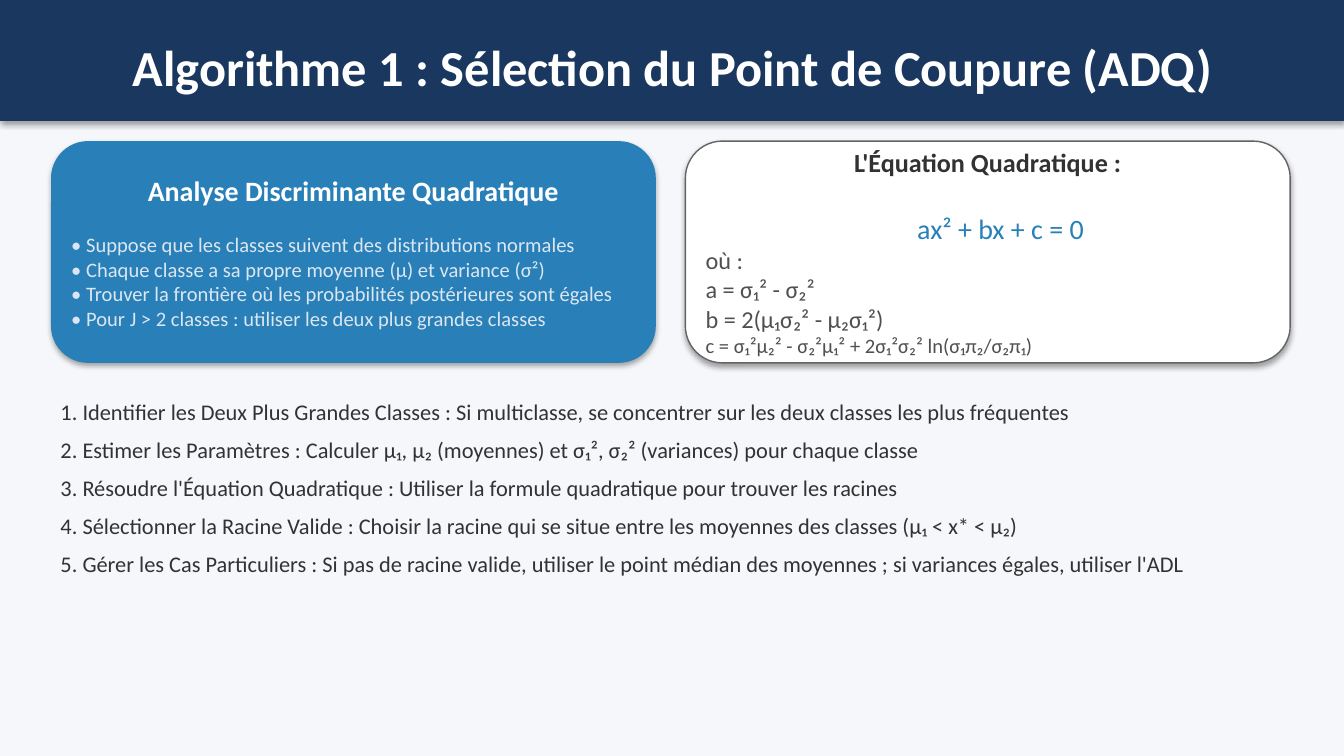
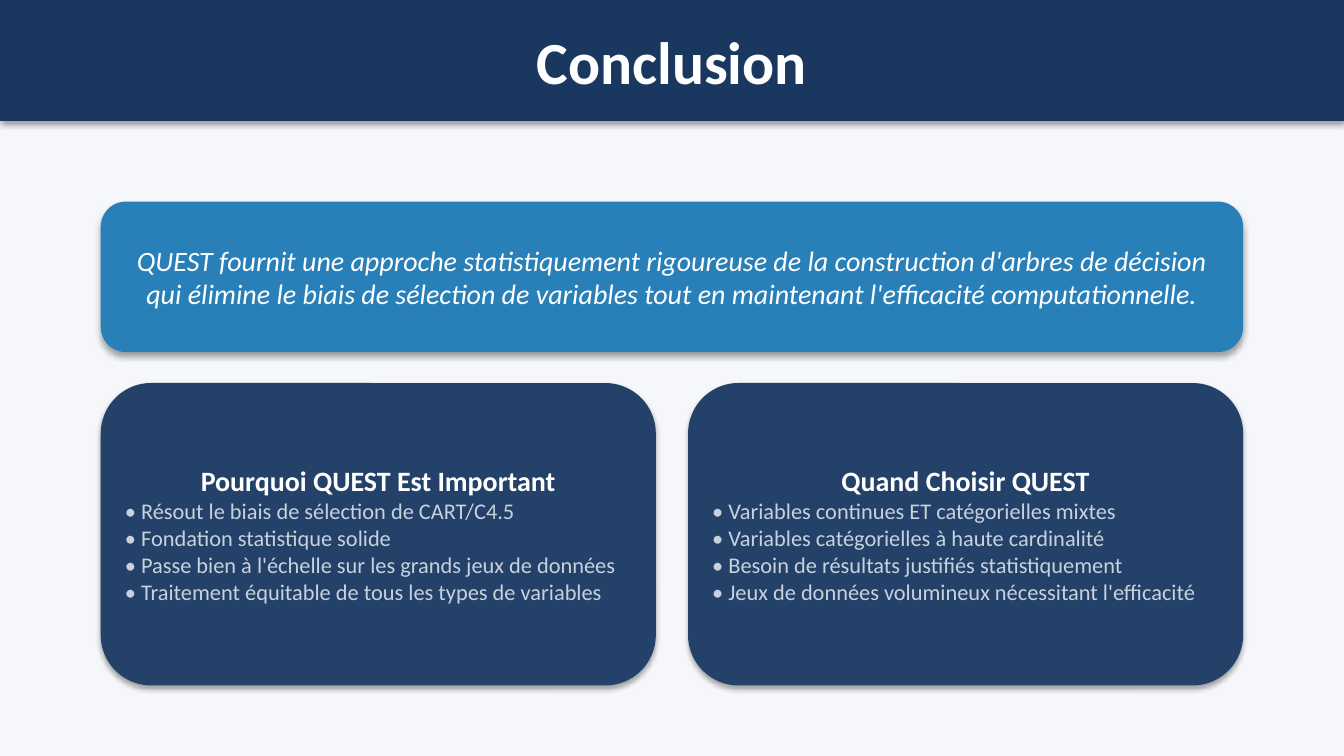
from lxml import etree
from pptx import Presentation
from pptx.dml.color import RGBColor
from pptx.enum.shapes import MSO_SHAPE
from pptx.enum.text import MSO_ANCHOR, PP_ALIGN
from pptx.oxml.ns import qn
from pptx.util import Inches, Pt

RECT, ROUNDED = MSO_SHAPE.RECTANGLE, MSO_SHAPE.ROUNDED_RECTANGLE
MIDDLE = MSO_ANCHOR.MIDDLE
LEFT, CENTER = PP_ALIGN.LEFT, PP_ALIGN.CENTER
FONT = "Calibri"
COLORS = {
    "background": "F5F7FA",
    "navy": "19375F",
    "card": "234169",
    "blue": "2980B9",
    "white": "FFFFFF",
    "border": "646464",
    "ink": "323232",
    "formula": "505050",
    "pale_blue": "DCE6F0",
    "pale_gray": "C8D2DC",
}


def rgb(name):
    return RGBColor.from_string(COLORS[name])


def add_shadow(sp):
    effects = etree.SubElement(sp._element.spPr, qn("a:effectLst"))
    shadow = etree.SubElement(
        effects, qn("a:outerShdw"), blurRad=str(Pt(3.1)), dist=str(Pt(1.8)),
        dir="5400000", algn="ctr", rotWithShape="0")
    color = etree.SubElement(shadow, qn("a:srgbClr"), val="000000")
    etree.SubElement(color, qn("a:alpha"), val="35000")


def set_frame(tf):
    tf.word_wrap = True
    tf.margin_left = tf.margin_right = Inches(0.07)
    tf.margin_top = tf.margin_bottom = Inches(0.04)
    return tf


def add_panel(s, box, fill, kind=ROUNDED, line=None):
    sp = s.shapes.add_shape(kind, *map(Inches, box))
    sp.fill.solid()
    sp.fill.fore_color.rgb = rgb(fill)
    if line:
        sp.line.color.rgb = rgb(line)
        sp.line.width = Pt(0.75)
    else:
        sp.line.fill.background()
    add_shadow(sp)
    tf = set_frame(sp.text_frame)
    tf.vertical_anchor = MIDDLE
    return tf


def add_text_box(s, box):
    return set_frame(s.shapes.add_textbox(*map(Inches, box)).text_frame)


def write(tf, text, size=12, color="ink", bold=False, italic=False,
          align=LEFT, before=0, indent=0):
    p = tf.paragraphs[0]
    if p.runs:
        p = tf.add_paragraph()
    p.alignment = align
    if before:
        p.space_before = Pt(before)
    if indent:
        p._p.get_or_add_pPr().set("marL", str(Inches(indent)))
    r = p.add_run()
    r.text = text
    r.font.name = FONT
    r.font.size = Pt(size)
    r.font.bold = bold
    r.font.italic = italic
    r.font.color.rgb = rgb(color)


def new_slide(prs):
    s = prs.slides.add_slide(prs.slide_layouts[6])
    s.background.fill.solid()
    s.background.fill.fore_color.rgb = rgb("background")
    return s


def add_header(s, title, size, title_box=None):
    tf = add_panel(s, (0, 0, 10, 0.9), "navy", RECT)
    if title_box:
        tf = add_text_box(s, title_box)
    write(tf, title, size=size, color="white", bold=True, align=CENTER)


def add_bullet_card(s, box, fill, title, items, size, color, gap=0):
    tf = add_panel(s, box, fill)
    write(tf, title, size=15, color="white", bold=True, align=CENTER)
    for i, item in enumerate(items):
        write(tf, f"• {item}", size=size, color=color, before=0 if i else gap)


def add_equation_card(s, box):
    tf = add_panel(s, box, "white", line="border")
    write(tf, "L'Équation Quadratique :", size=14, bold=True, align=CENTER)
    write(tf, "ax² + bx + c = 0", size=15, color="blue", align=CENTER,
          before=18.3, indent=0.19)
    for text in ("où :", "a = σ₁² - σ₂²", "b = 2(μ₁σ₂² - μ₂σ₁²)"):
        write(tf, text, size=13, color="formula")
    write(tf, "c = σ₁²μ₂² - σ₂²μ₁² + 2σ₁²σ₂² ln(σ₁π₂/σ₂π₁)",
          size=11, color="formula")


def add_steps(s, box, steps):
    tf = add_text_box(s, box)
    for number, step in enumerate(steps, 1):
        write(tf, f"{number}. {step}", before=6 if number > 1 else 0)


def build_algorithm(prs):
    s = new_slide(prs)
    add_header(s, "Algorithme 1 : Sélection du Point de Coupure (ADQ)", 27,
               (0.38, 0.23, 9.25, 0.6))
    left, top, width, height, gap = 0.38, 1.05, 4.5, 1.65, 0.22
    add_bullet_card(
        s, (left, top, width, height), "blue",
        "Analyse Discriminante Quadratique",
        ["Suppose que les classes suivent des distributions normales",
         "Chaque classe a sa propre moyenne (μ) et variance (σ²)",
         "Trouver la frontière où les probabilités postérieures sont égales",
         "Pour J > 2 classes : utiliser les deux plus grandes classes"],
        11, "pale_blue", gap=13.4)
    add_equation_card(s, (left + width + gap, top, width, height))
    add_steps(s, (left, 2.92, 2 * width + gap, 2.25), [
        "Identifier les Deux Plus Grandes Classes : Si multiclasse, "
        "se concentrer sur les deux classes les plus fréquentes",
        "Estimer les Paramètres : Calculer μ₁, μ₂ (moyennes) et "
        "σ₁², σ₂² (variances) pour chaque classe",
        "Résoudre l'Équation Quadratique : Utiliser la formule "
        "quadratique pour trouver les racines",
        "Sélectionner la Racine Valide : Choisir la racine qui se situe "
        "entre les moyennes des classes (μ₁ < x* < μ₂)",
        "Gérer les Cas Particuliers : Si pas de racine valide, utiliser le "
        "point médian des moyennes ; si variances égales, utiliser l'ADL",
    ])


def build_conclusion(prs):
    s = new_slide(prs)
    left, width, card_width = 0.75, 8.5, 4.13
    summary = add_panel(s, (left, 1.5, width, 1.12), "blue")
    write(summary,
          "QUEST fournit une approche statistiquement rigoureuse de la "
          "construction d'arbres de décision qui élimine le biais de "
          "sélection de variables tout en maintenant l'efficacité "
          "computationnelle.",
          size=15, color="white", italic=True, align=CENTER)
    cards = [
        ("Pourquoi QUEST Est Important",
         ["Résout le biais de sélection de CART/C4.5",
          "Fondation statistique solide",
          "Passe bien à l'échelle sur les grands jeux de données",
          "Traitement équitable de tous les types de variables"]),
        ("Quand Choisir QUEST",
         ["Variables continues ET catégorielles mixtes",
          "Variables catégorielles à haute cardinalité",
          "Besoin de résultats justifiés statistiquement",
          "Jeux de données volumineux nécessitant l'efficacité"]),
    ]
    for i, (title, items) in enumerate(cards):
        x = left + i * (width - card_width)
        add_bullet_card(s, (x, 2.85, card_width, 2.25), "card",
                        title, items, 12, "pale_gray")
    add_header(s, "Conclusion", 32)


def main():
    prs = Presentation()
    prs.slide_width = Inches(10)
    prs.slide_height = Inches(10 * 9 / 16)
    build_algorithm(prs)
    build_conclusion(prs)
    prs.save("out.pptx")


if __name__ == "__main__":
    main()
